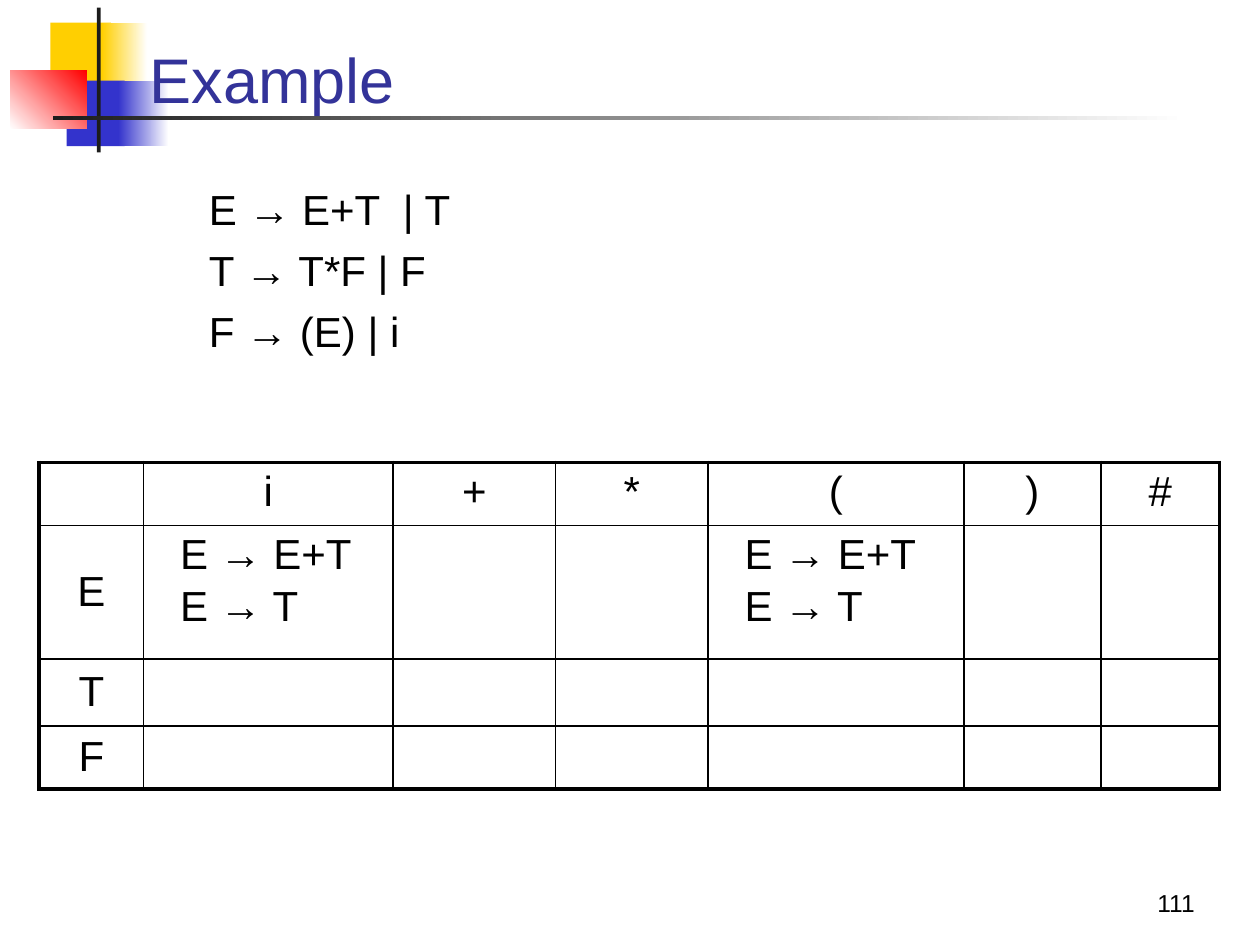
from lxml.etree import SubElement
from pptx import Presentation
from pptx.dml.color import RGBColor
from pptx.enum.shapes import MSO_SHAPE
from pptx.enum.text import MSO_ANCHOR, PP_ALIGN
from pptx.oxml.ns import qn
from pptx.util import Inches, Pt

BLACK = "000000"
WHITE = "FFFFFF"
YELLOW = "FFCF01"
BLUE = "3333CC"
RED = "FF0000"
CHARCOAL = "1C1C1C"
TITLE_BLUE = "333399"

GRAMMAR = ["E → E+T  | T", "T → T*F | F", "F → (E) | i"]
EXPANSIONS = ["E → E+T", "E → T"]
TERMINALS = ["i", "+", "*", "(", ")", "#"]
NONTERMINALS = ["E", "T", "F"]
COLUMN_WIDTHS = [0.83, 1.98, 1.29, 1.21, 2.03, 1.09, 0.94]
ROW_HEIGHTS = [0.49, 1.06, 0.53, 0.5]


def color(hex_string):
    return RGBColor.from_string(hex_string)


def add_block(slide, box, start, end=None, angle=0):
    """Add a borderless rectangle, with a gradient when end is given."""
    shape = slide.shapes.add_shape(MSO_SHAPE.RECTANGLE, *map(Inches, box))
    shape.shadow.inherit = False
    shape.line.fill.background()
    if end is None:
        shape.fill.solid()
        shape.fill.fore_color.rgb = color(start)
    else:
        shape.fill.gradient()
        shape.fill.gradient_angle = angle
        for stop, hex_string in zip(shape.fill.gradient_stops, (start, end)):
            stop.color.rgb = color(hex_string)


def write_lines(text_frame, lines, size, hex_string=BLACK, align=PP_ALIGN.LEFT, gap=0):
    text_frame.text = "\n".join(lines)
    for index, paragraph in enumerate(text_frame.paragraphs):
        paragraph.alignment = align
        if index:
            paragraph.space_before = Pt(gap)
        for run in paragraph.runs:
            run.font.name = "Arial"
            run.font.size = Pt(size)
            run.font.color.rgb = color(hex_string)


def add_text(slide, box, lines, size, anchor=MSO_ANCHOR.TOP, **style):
    text_frame = slide.shapes.add_textbox(*map(Inches, box)).text_frame
    text_frame.word_wrap = True
    text_frame.vertical_anchor = anchor
    write_lines(text_frame, lines, size, **style)
    return text_frame


def set_borders(cell, widths):
    """Draw black cell borders; widths are left, right, top and bottom in points."""
    properties = cell._tc.get_or_add_tcPr()
    for position, (side, width) in enumerate(zip("LRTB", widths)):
        line = properties.makeelement(qn(f"a:ln{side}"), {"w": str(Pt(width))})
        fill = SubElement(line, qn("a:solidFill"))
        SubElement(fill, qn("a:srgbClr"), val=BLACK)
        properties.insert(position, line)


def add_parsing_table(slide):
    row_count, column_count = len(ROW_HEIGHTS), len(COLUMN_WIDTHS)
    table = slide.shapes.add_table(
        row_count, column_count, Inches(0.31), Inches(3.67),
        Inches(sum(COLUMN_WIDTHS)), Inches(sum(ROW_HEIGHTS))).table
    table.first_row = table.horz_banding = False
    for column, width in zip(table.columns, COLUMN_WIDTHS):
        column.width = Inches(width)
    for row, height in zip(table.rows, ROW_HEIGHTS):
        row.height = Inches(height)

    for row in range(row_count):
        for column in range(column_count):
            cell = table.cell(row, column)
            cell.fill.background()
            on_edge = (column == 0, column == column_count - 1,
                       row == 0, row == row_count - 1)
            set_borders(cell, [2.25 if edge else 1 for edge in on_edge])

    for column, terminal in enumerate(TERMINALS, 1):
        write_lines(table.cell(0, column).text_frame, [terminal], 24, align=PP_ALIGN.CENTER)
        if terminal in ("i", "("):
            cell = table.cell(1, column)
            cell.margin_left = Inches(0.29)
            write_lines(cell.text_frame, EXPANSIONS, 24, gap=3)
    for row, nonterminal in enumerate(NONTERMINALS, 1):
        cell = table.cell(row, 0)
        cell.vertical_anchor = MSO_ANCHOR.MIDDLE
        write_lines(cell.text_frame, [nonterminal], 24, align=PP_ALIGN.CENTER)


def add_decoration(slide):
    add_block(slide, (0.4, 0.18, 0.48, 0.52), YELLOW)
    add_block(slide, (0.81, 0.18, 0.36, 0.52), YELLOW, WHITE)
    add_block(slide, (0.53, 0.64, 0.46, 0.52), BLUE)
    add_block(slide, (0.94, 0.64, 0.4, 0.52), BLUE, WHITE)
    add_block(slide, (0.08, 0.56, 0.61, 0.46), WHITE, RED, angle=45)
    add_block(slide, (0.77, 0.06, 0.03, 1.15), CHARCOAL)
    add_block(slide, (0.42, 0.92, 9, 0.03), CHARCOAL, WHITE)


def main():
    presentation = Presentation()
    presentation.slide_width = Inches(10)
    presentation.slide_height = Inches(7.5)
    slide = presentation.slides.add_slide(presentation.slide_layouts[6])

    add_decoration(slide)
    title = add_text(slide, (1.09, 0.21, 8.52, 0.76), ["Example"], 36,
                     MSO_ANCHOR.BOTTOM, hex_string=TITLE_BLUE)
    title.paragraphs[0].line_spacing = 0.85
    add_text(slide, (7.5, 6.83, 2.08, 0.5), ["111"], 14,
             MSO_ANCHOR.BOTTOM, align=PP_ALIGN.RIGHT)
    add_text(slide, (1.56, 1.41, 2.58, 1.48), GRAMMAR, 24, gap=6)
    add_parsing_table(slide)

    presentation.save("out.pptx")


if __name__ == "__main__":
    main()
